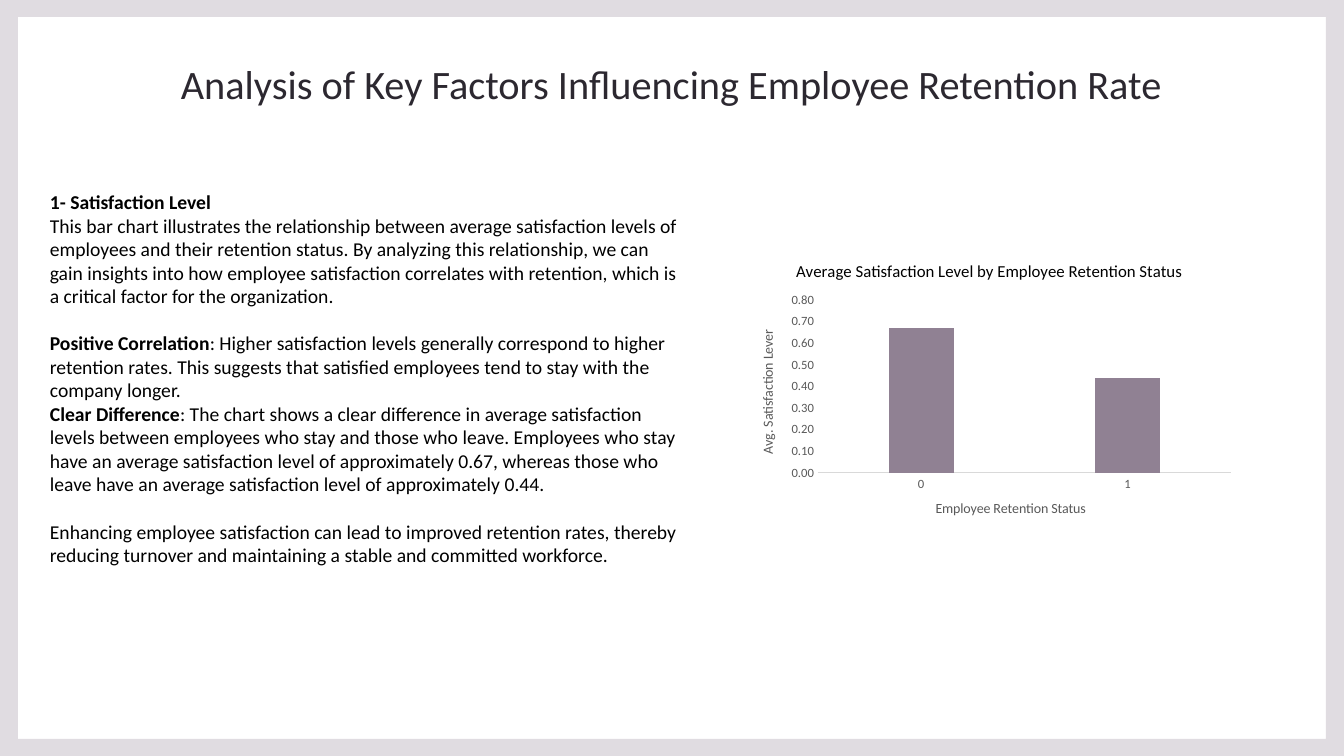
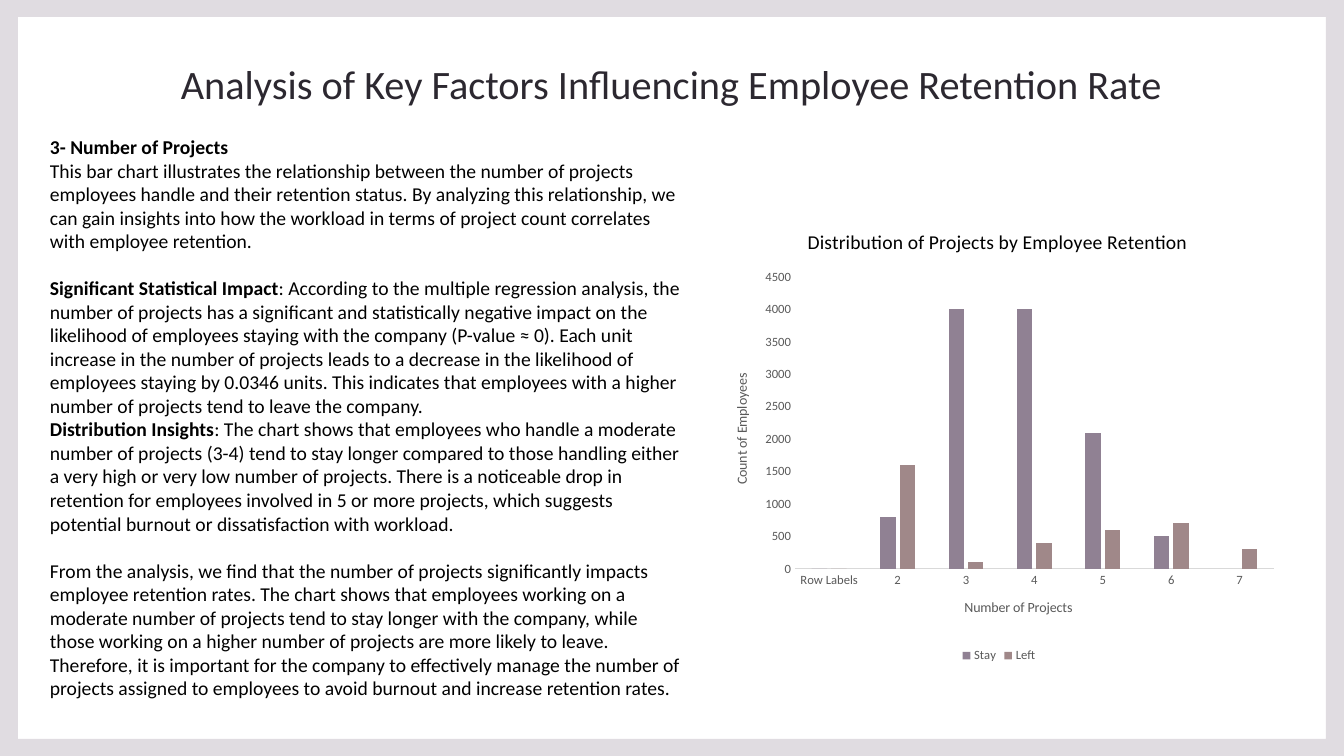
from dataclasses import dataclass

from lxml.etree import SubElement
from pptx import Presentation
from pptx.chart.data import CategoryChartData
from pptx.dml.color import RGBColor
from pptx.enum.chart import XL_CHART_TYPE, XL_LEGEND_POSITION, XL_TICK_MARK
from pptx.enum.text import MSO_ANCHOR, PP_ALIGN
from pptx.oxml import parse_xml
from pptx.oxml.ns import nsdecls, qn
from pptx.util import Emu, Pt

PX = 12192000 / 1344
SLIDE_WIDTH, SLIDE_HEIGHT = 1344, 756


@dataclass(frozen=True)
class Theme:
    font: str = "Calibri"
    frame: str = "E0DCE1"
    title: str = "2C2830"
    text: str = "000000"
    axis_text: str = "595959"
    axis_line: str = "D9D9D9"
    series: tuple = ("908193", "A08889")
    title_size: float = 28.8
    body_size: float = 14
    axis_title_size: float = 10
    label_size: float = 9
    section_gap: float = 16.8


THEME = Theme()

# Content
TITLE = "Analysis of Key Factors Influencing Employee Retention Rate"
TITLE_BOX = (136, 58, 1071, 50)
FRAME_HOLE = (18, 17, 1326, 739)
BODY_LEFT, BODY_WIDTH = 40, 656

# Body paragraphs: (bold lead, text, starts a new section)
SLIDES = [
    {
        "body_top": 185,
        "body_height": 414,
        "body": [
            ("1- Satisfaction Level", "", False),
            ("", "This bar chart illustrates the relationship between average satisfaction levels of "
             "employees and their retention status. By analyzing this relationship, we can gain insights "
             "into how employee satisfaction correlates with retention, which is a critical factor for "
             "the organization.", False),
            ("Positive Correlation", ": Higher satisfaction levels generally correspond to higher "
             "retention rates. This suggests that satisfied employees tend to stay with the company "
             "longer.", True),
            ("Clear Difference", ": The chart shows a clear difference in average satisfaction levels "
             "between employees who stay and those who leave. Employees who stay have an average "
             "satisfaction level of approximately 0.67, whereas those who leave have an average "
             "satisfaction level of approximately 0.44.", False),
            ("", "Enhancing employee satisfaction can lead to improved retention rates, thereby reducing "
             "turnover and maintaining a stable and committed workforce.", True),
        ],
        "chart": {
            "box": (738, 246, 504, 292),
            "plot": (818, 300, 413, 173),
            "title": ("Average Satisfaction Level by Employee Retention Status", 12, (793, 257)),
            "category_title": ("Employee Retention Status", (933, 497)),
            "value_title": ("Avg. Satisfaction Lever", (756, 327)),
            "categories": ["0", "1"],
            "series": [("Series 1", (0.67, 0.44))],
            "maximum": 0.8, "step": 0.1, "format": "0.00",
        },
    },
    {
        "body_top": 130,
        "body_height": 581,
        "body": [
            ("3- Number of Projects", "", False),
            ("", "This bar chart illustrates the relationship between the number of projects employees "
             "handle and their retention status. By analyzing this relationship, we can gain insights "
             "into how the workload in terms of project count correlates with employee retention.", False),
            ("Significant Statistical Impact", ": According to the multiple regression analysis, the "
             "number of projects has a significant and statistically negative impact on the likelihood "
             "of employees staying with the company (P-value ≈ 0). Each unit increase in the number of "
             "projects leads to a decrease in the likelihood of employees staying by 0.0346 units. This "
             "indicates that employees with a higher number of projects tend to leave the company.", True),
            ("Distribution Insights", ": The chart shows that employees who handle a moderate number of "
             "projects (3-4) tend to stay longer compared to those handling either a very high or very "
             "low number of projects. There is a noticeable drop in retention for employees involved in "
             "5 or more projects, which suggests potential burnout or dissatisfaction with workload.",
             False),
            ("", "From the analysis, we find that the number of projects significantly impacts employee "
             "retention rates. The chart shows that employees working on a moderate number of projects "
             "tend to stay longer with the company, while those working on a higher number of projects "
             "are more likely to leave. Therefore, it is important for the company to effectively manage "
             "the number of projects assigned to employees to avoid burnout and increase retention "
             "rates.", True),
        ],
        "chart": {
            "box": (712, 210, 574, 457),
            "plot": (795, 277, 479, 292),
            "title": ("Distribution of Projects by Employee Retention", 14, (804, 225)),
            "category_title": ("Number of Projects", (962, 596)),
            "value_title": ("Count of Employees", (730, 371)),
            "categories": ["Row Labels", "2", "3", "4", "5", "6", "7"],
            "series": [
                ("Stay", (0, 800, 4000, 4000, 2100, 500, None)),
                ("Left", (0, 1600, 100, 400, 600, 700, 300)),
            ],
            "maximum": 4500, "step": 500, "format": "0",
        },
    },
]


def px(*lengths):
    return [Emu(round(length * PX)) for length in lengths]


def style_font(font, size, color, bold=False):
    font.name = THEME.font
    font.size = Pt(size)
    font.bold = bold
    font.color.rgb = RGBColor.from_string(color)


# Parts shared by the slides
def add_frame(slide):
    left, top, right, bottom = FRAME_HOLE
    builder = slide.shapes.build_freeform(0, 0, scale=PX)
    builder.add_line_segments([(SLIDE_WIDTH, 0), (SLIDE_WIDTH, SLIDE_HEIGHT), (0, SLIDE_HEIGHT)])
    builder.move_to(left, top)
    builder.add_line_segments([(left, bottom), (right, bottom), (right, top)])
    frame = builder.convert_to_shape()
    frame.shadow.inherit = False
    frame.fill.solid()
    frame.fill.fore_color.rgb = RGBColor.from_string(THEME.frame)
    frame.line.fill.background()


def add_title(slide):
    text_frame = slide.shapes.add_textbox(*px(*TITLE_BOX)).text_frame
    text_frame.word_wrap = True
    text_frame.vertical_anchor = MSO_ANCHOR.MIDDLE
    text_frame.text = TITLE
    paragraph = text_frame.paragraphs[0]
    paragraph.alignment = PP_ALIGN.CENTER
    style_font(paragraph.runs[0].font, THEME.title_size, THEME.title)


def add_body(slide, top, height, body):
    text_frame = slide.shapes.add_textbox(*px(BODY_LEFT, top, BODY_WIDTH, height)).text_frame
    text_frame.word_wrap = True
    for index, (lead, text, new_section) in enumerate(body):
        paragraph = text_frame.add_paragraph() if index else text_frame.paragraphs[0]
        if new_section:
            paragraph.space_before = Pt(THEME.section_gap)
        for content, bold in ((lead, True), (text, False)):
            if content:
                run = paragraph.add_run()
                run.text = content
                style_font(run.font, THEME.body_size, THEME.text, bold)


# Chart
def place(element, index, chart_box, left, top, width=None, height=None):
    """Fix a chart part at a slide position given in px."""
    for old in element.findall(qn("c:layout")):
        element.remove(old)
    layout = parse_xml(f"<c:layout {nsdecls('c')}><c:manualLayout/></c:layout>")
    manual = layout[0]
    chart_left, chart_top, chart_width, chart_height = chart_box
    settings = [("xMode", "edge"), ("yMode", "edge"),
                ("x", (left - chart_left) / chart_width), ("y", (top - chart_top) / chart_height)]
    if width:
        settings.insert(0, ("layoutTarget", "inner"))
        settings += [("w", width / chart_width), ("h", height / chart_height)]
    for tag, value in settings:
        SubElement(manual, qn(f"c:{tag}")).set("val", str(value))
    element.insert(index, layout)


def set_chart_title(title, text, size, color):
    title.text_frame.text = text
    style_font(title.text_frame.paragraphs[0].runs[0].font, size, color)


def style_axis(axis, title):
    axis.has_major_gridlines = False
    axis.major_tick_mark = axis.minor_tick_mark = XL_TICK_MARK.NONE
    style_font(axis.tick_labels.font, THEME.label_size, THEME.axis_text)
    set_chart_title(axis.axis_title, title, THEME.axis_title_size, THEME.axis_text)


def add_column_chart(slide, content):
    data = CategoryChartData()
    data.categories = content["categories"]
    for name, values in content["series"]:
        data.add_series(name, values)
    box = content["box"]
    chart = slide.shapes.add_chart(XL_CHART_TYPE.COLUMN_CLUSTERED, *px(*box), data).chart
    style_font(chart.font, THEME.axis_title_size, THEME.text)

    title, title_size, title_place = content["title"]
    chart.has_title = True
    set_chart_title(chart.chart_title, title, title_size, THEME.text)

    category_title, category_place = content["category_title"]
    value_title, value_place = content["value_title"]
    category_axis, value_axis = chart.category_axis, chart.value_axis
    style_axis(category_axis, category_title)
    style_axis(value_axis, value_title)
    category_axis.format.line.color.rgb = RGBColor.from_string(THEME.axis_line)
    category_axis.format.line.width = Pt(0.75)
    value_axis.format.line.fill.background()
    value_axis.minimum_scale = 0
    value_axis.maximum_scale = content["maximum"]
    value_axis.major_unit = content["step"]
    value_axis.tick_labels.number_format = content["format"]
    value_axis.tick_labels.number_format_is_linked = False

    plot = chart.plots[0]
    plot.gap_width, plot.overlap, plot.vary_by_categories = 219, -27, False
    for series, color in zip(plot.series, THEME.series):
        series.format.fill.solid()
        series.format.fill.fore_color.rgb = RGBColor.from_string(color)

    chart.has_legend = len(content["series"]) > 1
    if chart.has_legend:
        chart.legend.position = XL_LEGEND_POSITION.BOTTOM
        chart.legend.include_in_layout = False
        style_font(chart.legend.font, THEME.label_size, THEME.axis_text)

    # Turn the value title and fix the positions
    chart_space = chart._chartSpace
    rotated = chart_space.xpath(".//c:valAx/c:title//a:bodyPr")[0]
    rotated.set("rot", "-5400000")
    rotated.set("vert", "horz")
    places = (title_place, category_place, value_place)
    for tag, position in zip(("c:chart", "c:catAx", "c:valAx"), places):
        place(chart_space.xpath(f".//{tag}/c:title")[0], 1, box, *position)
    place(chart_space.xpath(".//c:plotArea")[0], 0, box, *content["plot"])


def main():
    presentation = Presentation()
    presentation.slide_width, presentation.slide_height = px(SLIDE_WIDTH, SLIDE_HEIGHT)
    for content in SLIDES:
        slide = presentation.slides.add_slide(presentation.slide_layouts[6])
        add_frame(slide)
        add_title(slide)
        add_body(slide, content["body_top"], content["body_height"], content["body"])
        add_column_chart(slide, content["chart"])
    presentation.save("out.pptx")


if __name__ == "__main__":
    main()
